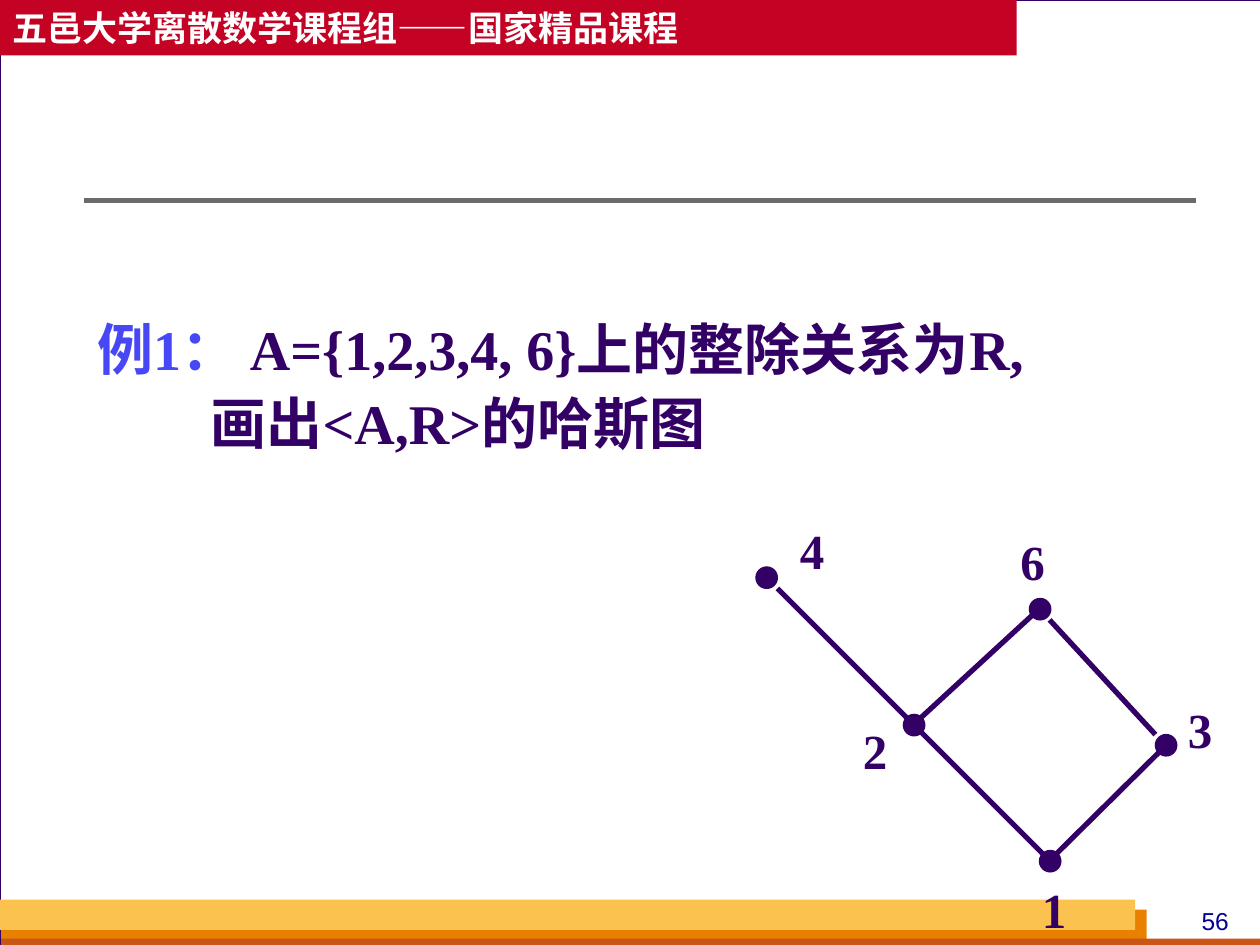
from lxml.etree import SubElement
from pptx import Presentation
from pptx.dml.color import RGBColor
from pptx.enum.shapes import MSO_CONNECTOR, MSO_SHAPE
from pptx.enum.text import MSO_ANCHOR, PP_ALIGN
from pptx.oxml.ns import qn
from pptx.util import Inches, Pt

COLORS = {
    "background": "D8DADA", "white": "FFFFFF", "purple": "330066",
    "red": "C30224", "orange": "E88000", "rust": "C95616",
    "amber": "FCC24F", "gray": "6B6B6B", "blue": "4747F5", "navy": "000099",
}


def color(name):
    return RGBColor.from_string(COLORS[name])


def format_run(run, size, font, color_name, bold=True):
    """Style a run, with a Chinese face for its East Asian characters."""
    run.font.size = Pt(size)
    run.font.name = font
    run.font.bold = bold
    run.font.color.rgb = color(color_name)
    east_asian = SubElement(run._r.get_or_add_rPr(), qn("a:ea"))
    east_asian.set("typeface", "Noto Sans CJK SC")


presentation = Presentation()
presentation.slide_width = Inches(10)
presentation.slide_height = Inches(7.5)
slide = presentation.slides.add_slide(presentation.slide_layouts[1])
slide.background.fill.solid()
slide.background.fill.fore_color.rgb = color("background")
title = slide.shapes.title
title._element.getparent().remove(title._element)
body = slide.placeholders[1]

# Frame, header band and footer bars, then the nodes of the diagram
rectangle, oval = MSO_SHAPE.RECTANGLE, MSO_SHAPE.OVAL
node_positions = [(8.25, 6.75), (9.17, 5.83), (6, 4.5), (7.17, 5.67), (8.17, 4.75)]
filled_shapes = [
    (rectangle, 0, 0, 10.01, 7.5, "white", "purple"),
    (rectangle, 0, 0, 8.07, 0.44, "red", None),
    (rectangle, 0.01, 7.22, 9.09, 0.28, "orange", None),
    (rectangle, 0.01, 7.45, 10, 0.08, "rust", None),
    (rectangle, 0, 7.14, 9.01, 0.24, "amber", None),
] + [(oval, left, top, 0.17, 0.17, "purple", "purple") for left, top in node_positions]
for kind, left, top, width, height, fill, line in filled_shapes:
    shape = slide.shapes.add_shape(
        kind, Inches(left), Inches(top), Inches(width), Inches(height))
    shape.shadow.inherit = False
    shape.fill.solid()
    shape.fill.fore_color.rgb = color(fill)
    if line:
        shape.line.color.rgb = color(line)
        shape.line.width = Pt(0.75)
    else:
        shape.line.fill.background()
    if fill == "red":
        header = shape

header.text_frame.text = "五邑大学离散数学课程组——国家精品课程"
header.text_frame.vertical_anchor = MSO_ANCHOR.MIDDLE
header_paragraph = header.text_frame.paragraphs[0]
header_paragraph.alignment = PP_ALIGN.LEFT
format_run(header_paragraph.runs[0], 20, "Noto Sans CJK SC", "white")

# Title rule and the edges of the diagram
lines = [
    (0.67, 1.59, 9.49, 1.59, "gray"),
    (8.33, 6.83, 9.25, 5.92, "purple"),
    (8.33, 4.92, 9.17, 5.83, "purple"),
    (7.25, 5.75, 8.25, 4.83, "purple"),
    (8.33, 6.83, 7.25, 5.75, "purple"),
    (7.25, 5.75, 6.17, 4.67, "purple"),
]
for start_x, start_y, end_x, end_y, line in lines:
    connector = slide.shapes.add_connector(
        MSO_CONNECTOR.STRAIGHT,
        Inches(start_x), Inches(start_y), Inches(end_x), Inches(end_y))
    connector.line.color.rgb = color(line)
    connector.line.width = Pt(3)
    SubElement(connector._element.spPr, qn("a:effectLst"))

# Exercise text, brought in front of the white frame
slide.shapes._spTree.append(body._element)
body.left, body.top = Inches(0.67), Inches(2.42)
body.width, body.height = Inches(9.67), Inches(1.25)
paragraphs = [
    (0, [("例1： ", "blue"), ("A={1,2,3,4, 6}上的整除关系为R,", "purple")]),
    (0.9, [("画出<A,R>的哈斯图", "purple")]),
]
for index, (indent, runs) in enumerate(paragraphs):
    frame = body.text_frame
    paragraph = frame.add_paragraph() if index else frame.paragraphs[0]
    paragraph.line_spacing = 1.05
    paragraph.space_before = Pt(2 if index else 0)
    properties = paragraph._p.get_or_add_pPr()
    properties.set("marL", str(Inches(indent)))
    properties.set("indent", "0")
    SubElement(properties, qn("a:buNone"))
    for text, run_color in runs:
        run = paragraph.add_run()
        run.text = text
        format_run(run, 32, "Times New Roman", run_color)

# Node labels and the page number
labels = [
    ("1", 8.17, 6.93), ("2", 6.75, 5.67), ("3", 9.33, 5.5),
    ("4", 6.25, 4.08), ("6", 8, 4.17), ("56", 9.33, 7.14),
]
for text, left, top in labels:
    is_page_number = text == "56"
    width, height = (0.63, 0.34) if is_page_number else (0.67, 0.57)
    label = slide.shapes.add_textbox(
        Inches(left), Inches(top), Inches(width), Inches(height))
    label.text_frame.word_wrap = True
    label.text_frame.text = text
    paragraph = label.text_frame.paragraphs[0]
    if is_page_number:
        paragraph.alignment = PP_ALIGN.CENTER
        format_run(paragraph.runs[0], 14, "Arial", "navy", bold=False)
    else:
        format_run(paragraph.runs[0], 28, "Times New Roman", "purple")

presentation.save("out.pptx")
